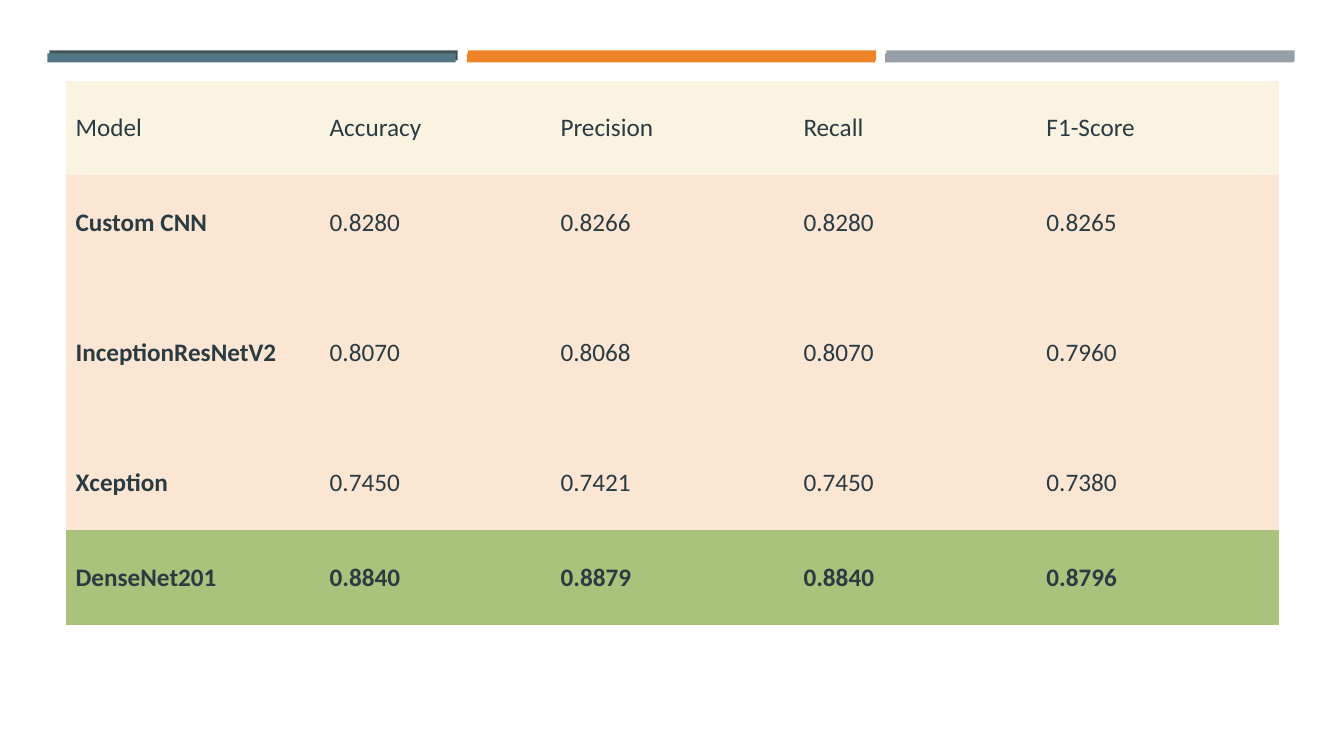
from pptx import Presentation
from pptx.dml.color import RGBColor
from pptx.enum.shapes import MSO_SHAPE as SHAPE
from pptx.enum.text import MSO_ANCHOR as ANCHOR
from pptx.util import Inches, Pt

NO_STYLE_NO_GRID = "{2D5ABB26-0587-4C30-8999-92F81FD0307C}"

HEADER_FILL, ROW_FILL, BEST_FILL = "FAF3E2", "FBE6D4", "A9C37C"
COLUMN_WIDTHS = [2.52, 2.29, 2.41, 2.41, 2.41]
ROW_HEIGHTS = [0.94, 0.94, 1.64, 0.94, 0.94]
RESULTS = [
    ["Model", "Accuracy", "Precision", "Recall", "F1-Score"],
    ["Custom CNN", "0.8280", "0.8266", "0.8280", "0.8265"],
    ["InceptionResNetV2", "0.8070", "0.8068", "0.8070", "0.7960"],
    ["Xception", "0.7450", "0.7421", "0.7450", "0.7380"],
    ["DenseNet201", "0.8840", "0.8879", "0.8840", "0.8796"],
]
# Each bar is two layers: (left, top, height, fill)
BARS = [
    (0.49, 0.5, 0.1, "465359"),
    (8.79, 0.5, 0.11, "969FA7"),
    (4.64, 0.5, 0.1, "ED8428"),
    (0.47, 0.53, 0.09, "537685"),
    (4.63, 0.53, 0.09, "ED8428"),
    (8.78, 0.53, 0.09, "969FA7"),
]
BAR_WIDTH = 4.05


def paint(fill, color):
    fill.solid()
    fill.fore_color.rgb = RGBColor.from_string(color)


class SlideBuilder:
    font = "Calibri"
    size = 18
    ink = "2A3B42"

    def __init__(self, slide):
        self.slide = slide

    def bar(self, left, top, height, color):
        sp = self.slide.shapes.add_shape(
            SHAPE.RECTANGLE, Inches(left), Inches(top),
            Inches(BAR_WIDTH), Inches(height))
        sp.shadow.inherit = False
        paint(sp.fill, color)
        sp.line.fill.background()

    def cell(self, cell, text, color, bold):
        paint(cell.fill, color)
        cell.vertical_anchor = ANCHOR.MIDDLE
        cell.text = text
        font = cell.text_frame.paragraphs[0].font
        font.name, font.size, font.bold = self.font, Pt(self.size), bold
        paint(font.fill, self.ink)

    def table(self, left, top, rows, widths, heights):
        """Add a table with a header row and a highlighted last row."""
        frame = self.slide.shapes.add_table(
            len(rows), len(widths), Inches(left), Inches(top),
            Inches(sum(widths)), Inches(sum(heights)))
        table = frame.table
        table.first_row = table.horz_banding = False
        style_id = table._tbl.tblPr[0]
        style_id.text = NO_STYLE_NO_GRID
        for column, width in zip(table.columns, widths):
            column.width = Inches(width)
        last = len(rows) - 1
        fills = [HEADER_FILL] + [ROW_FILL] * (last - 1) + [BEST_FILL]
        for i, values in enumerate(rows):
            table.rows[i].height = Inches(heights[i])
            for j, text in enumerate(values):
                bold = i == last or (i > 0 and j == 0)
                self.cell(table.cell(i, j), text, fills[i], bold)


def main():
    prs = Presentation()
    prs.slide_width, prs.slide_height = Inches(13.33), Inches(7.5)
    s = SlideBuilder(prs.slides.add_slide(prs.slide_layouts[6]))
    for bar in BARS:
        s.bar(*bar)
    s.table(0.65, 0.8, RESULTS, COLUMN_WIDTHS, ROW_HEIGHTS)
    prs.save("out.pptx")


if __name__ == "__main__":
    main()
